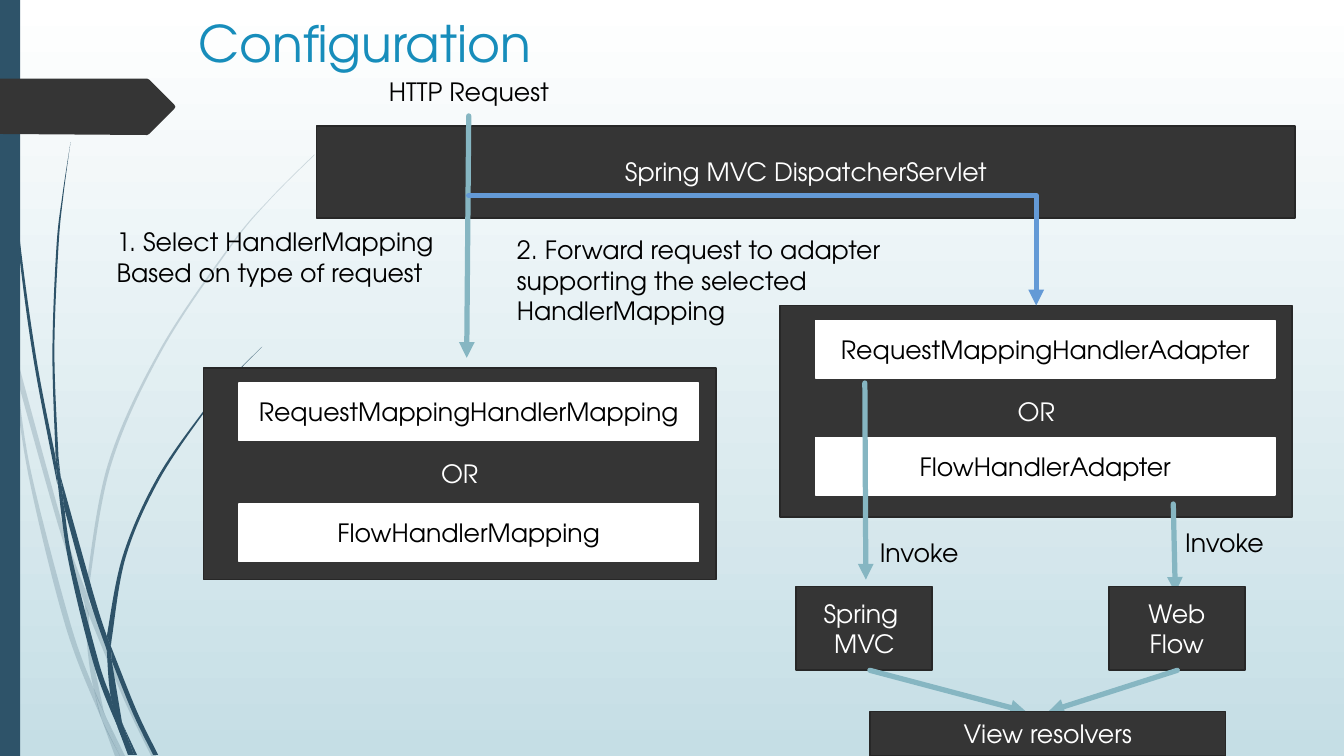
from dataclasses import dataclass

from lxml import etree
from pptx import Presentation
from pptx.dml.color import RGBColor
from pptx.enum.shapes import MSO_CONNECTOR, MSO_SHAPE
from pptx.enum.text import MSO_ANCHOR, PP_ALIGN
from pptx.oxml.ns import qn
from pptx.util import Inches, Pt

RECTANGLE = MSO_SHAPE.RECTANGLE
STRAIGHT, ELBOW = MSO_CONNECTOR.STRAIGHT, MSO_CONNECTOR.ELBOW
TOP, MIDDLE = MSO_ANCHOR.TOP, MSO_ANCHOR.MIDDLE
LEFT, CENTER = PP_ALIGN.LEFT, PP_ALIGN.CENTER
Point = tuple[float, float]
Edge = tuple[Point, ...]


@dataclass(frozen=True)
class Theme:
    font: str = "TeX Gyre Adventor"
    title_size: float = 36
    body_size: float = 18
    box_line: float = 1.25
    arrow_line: float = 3.75
    white: str = "FFFFFF"
    black: str = "000000"
    sky: str = "C5DEE5"
    title: str = "178DBB"
    navy: str = "2E5369"
    dark: str = "353535"
    dark_edge: str = "272727"
    teal: str = "86B6C2"
    blue: str = "649AD6"


THEME = Theme()


@dataclass(frozen=True)
class Box:
    text: str
    place: tuple[float, float, float, float]
    fill: str = THEME.dark
    line: str = THEME.dark_edge
    color: str = THEME.white


@dataclass(frozen=True)
class Label:
    text: str
    place: tuple[float, float, float, float]
    wrap: bool = True
    size: float = THEME.body_size
    color: str = THEME.black


@dataclass(frozen=True)
class Arrow:
    start: Point
    end: Point
    color: str = THEME.teal
    bent: bool = False


def choice_panel(left: float, top: float, first: str, second: str, second_top: float) -> tuple[Box, ...]:
    """A dark panel offering two white options."""
    options = [Box(text, (left + 0.35, y, 4.56, 0.57), THEME.white, THEME.white, THEME.black)
               for text, y in ((first, top + 0.15), (second, second_top))]
    return Box("OR", (left, top, 5.08, 2.1)), *options


# Grass blades: each piece is a closed ring of smooth edges
PALE_BLADES: tuple[tuple[Edge, ...], ...] = (
    (((0, 2.99), (0.1, 3.44), (0.11, 3.5)), ((0.09, 3.22), (0, 2.82))),
    (((0.17, 3.76), (0.58, 5.22), (0.84, 5.99)), ((0.85, 5.86), (0.62, 5.2), (0.14, 3.45))),
    (((0.88, 6.1), (1.23, 6.94), (1.5, 7.5)), ((1.55, 7.5), (1.27, 6.92), (0.88, 5.96))),
    (((1.05, 7.11), (1.19, 7.5)), ((1.24, 7.5),)),
    (((0.11, 3.5), (0.28, 4.7), (0.65, 6.21), (1.01, 7.14)),
     ((0.93, 6.83), (0.7, 6.19), (0.31, 4.69), (0.17, 3.76))),
    (((0.84, 5.99), (0.87, 6.46), (0.93, 6.83), (1.05, 7.11)), ((1.03, 7.06), (0.91, 6.46), (0.88, 6.08))),
    (((3.12, 1.53), (2.68, 1.97), (2.28, 2.44), (1.58, 3.48), (1.07, 4.61), (0.85, 5.84)), ((0.88, 5.96),),
     ((0.88, 5.84), (1.1, 4.62), (1.6, 3.49), (2.29, 2.45), (2.68, 1.98), (3.12, 1.54))),
    (((1.01, 7.14), (1.14, 7.5)), ((1.19, 7.5),)),
    (((0.84, 5.99), (0.88, 6.1)), ((0.88, 5.96), (0.85, 5.86))),
    (((0.93, 6.83), (1.01, 7.14), (1.19, 7.5)), ((1.05, 7.11),)),
)
DARK_BLADES: tuple[tuple[Edge, ...], ...] = (
    (((0.03, 0), (0.07, 1.1), (0.17, 2.33), (0.33, 3.55), (0.57, 4.81)),
     ((0.55, 4.53), (0.36, 3.55), (0.19, 2.32), (0.08, 1.09), (0.04, 0))),
    (((0.64, 5.05), (0.88, 5.92), (1.06, 6.45)), ((1.06, 6.31), (0.93, 5.9), (0.6, 4.72))),
    (((1.11, 6.56), (1.32, 7.08), (1.52, 7.49)), ((1.57, 7.49), (1.36, 7.06), (1.1, 6.41))),
    (((0.57, 4.77), (0.68, 5.57), (0.93, 6.59), (1.17, 7.22)),
     ((1.1, 6.91), (0.98, 6.57), (0.72, 5.56), (0.64, 5.05))),
    (((0.7, 1.41), (0.62, 1.93), (0.56, 2.45), (0.52, 3.49), (0.55, 4.49)), ((0.6, 4.72),),
     ((0.58, 4.53), (0.54, 3.49), (0.58, 2.45), (0.63, 1.93), (0.7, 1.41))),
    (((1.22, 7.19), (1.33, 7.49)), ((1.36, 7.49),)),
    (((0.55, 4.49), (0.57, 4.77), (0.64, 5.05)), ((0.6, 4.72),)),
    (((2.6, 3.44), (2.31, 3.73), (2.04, 4.05), (1.56, 4.74), (1.22, 5.51), (1.06, 6.31)), ((1.1, 6.41),),
     ((1.11, 6.33), (1.25, 5.52), (1.58, 4.76), (2.05, 4.06), (2.31, 3.74), (2.6, 3.44))),
    (((1.17, 7.22), (1.27, 7.49)), ((1.31, 7.49),)),
    (((1.06, 6.45), (1.1, 6.91), (1.22, 7.19)), ((1.21, 7.16), (1.11, 6.56))),
    (((1.06, 6.31), (1.06, 6.45), (1.11, 6.56)), ((1.1, 6.41),)),
    (((1.1, 6.91), (1.17, 7.22), (1.3, 7.49)), ((1.33, 7.49), (1.22, 7.19))),
)
TAG: tuple[Edge, ...] = tuple((corner,) for corner in (
    (0, 0.78), (1.46, 0.78), (1.48, 0.79), (1.73, 1.04), (1.74, 1.06),
    (1.73, 1.08), (1.48, 1.33), (1.46, 1.34), (0, 1.33)))

# Diagram parts from back to front
DIAGRAM = (
    Box("Spring MVC DispatcherServlet", (3.14, 1.25, 9.71, 0.91)),
    Arrow((4.65, 1.15), (4.63, 3.55)),
    Label("HTTP Request", (3.76, 0.71, 2.06, 0.41)),
    Label("1. Select HandlerMapping Based on type of request", (1.06, 2.2, 3.57, 0.71)),
    *choice_panel(2.02, 3.65, "RequestMappingHandlerMapping", "FlowHandlerMapping", 5),
    *choice_panel(7.74, 3.03, "RequestMappingHandlerAdapter", "FlowHandlerAdapter", 4.34),
    Arrow((4.65, 1.94), (10.28, 3.03), THEME.blue, bent=True),
    Label("2. Forward request to adapter supporting the selected HandlerMapping", (5.03, 2.28, 4.91, 1.01)),
    Arrow((8.58, 3.8), (8.59, 5.75)),
    Box("Spring \nMVC", (7.9, 5.82, 1.35, 0.83)),
    Arrow((11.64, 5), (11.66, 5.88)),
    Box("Web Flow", (11, 5.82, 1.35, 0.83)),
    Label("Invoke", (8.63, 5.28, 1.01, 0.4), wrap=False),
    Label("Invoke", (11.66, 5.18, 1.01, 0.4), wrap=False),
    Label("Configuration", (1.87, 0.07, 4.68, 0.8), size=THEME.title_size, color=THEME.title),
    Arrow((8.63, 6.65), (10.18, 7.06)),
    Arrow((11.68, 6.65), (10.4, 7.06)),
    Box("View resolvers", (8.63, 7.06, 3.53, 0.44)),
)


def rgb(color: str) -> RGBColor:
    return RGBColor.from_string(color)


def paint(shape, color: str) -> None:
    shape.shadow.inherit = False
    shape.fill.solid()
    shape.fill.fore_color.rgb = rgb(color)
    shape.line.fill.background()


def write_text(shape, text: str, *, size: float, color: str, align=LEFT, anchor=TOP, wrap: bool = True) -> None:
    frame = shape.text_frame
    frame.word_wrap, frame.vertical_anchor, frame.text = wrap, anchor, text
    for para in frame.paragraphs:
        para.alignment = align
        for span in para.runs:
            span.font.name, span.font.size = THEME.font, Pt(size)
            span.font.color.rgb = rgb(color)


def draw_box(page, box: Box) -> None:
    shape = page.shapes.add_shape(RECTANGLE, *map(Inches, box.place))
    paint(shape, box.fill)
    if box.line:
        shape.line.color.rgb = rgb(box.line)
        shape.line.width = Pt(THEME.box_line)
    if box.text:
        write_text(shape, box.text, size=THEME.body_size, color=box.color, align=CENTER, anchor=MIDDLE)


def draw_label(page, label: Label) -> None:
    shape = page.shapes.add_textbox(*map(Inches, label.place))
    write_text(shape, label.text, size=label.size, color=label.color, wrap=label.wrap)


def draw_arrow(page, arrow: Arrow) -> None:
    connector = page.shapes.add_connector(ELBOW if arrow.bent else STRAIGHT, *map(Inches, arrow.start + arrow.end))
    connector.line.color.rgb = rgb(arrow.color)
    connector.line.width = Pt(THEME.arrow_line)
    properties = connector._element.spPr
    if arrow.bent:  # a single corner: across, then down
        properties.find(qn("a:prstGeom")).set("prst", "bentConnector2")
    line = properties.find(qn("a:ln"))
    line.set("cap", "rnd")
    etree.SubElement(line, qn("a:tailEnd"), type="triangle")
    etree.SubElement(properties, qn("a:effectLst"))


def draw_outline(page, edges: tuple[Edge, ...], color: str, alpha: int = 100) -> None:
    """Closed ring: a Catmull-Rom curve along each edge, straight joins between."""
    corners = [(Inches(x), Inches(y)) for edge in edges for x, y in edge]
    builder = page.shapes.build_freeform(*corners[0])
    builder.add_line_segments(corners[1:], close=True)
    shape = builder.convert_to_shape()
    paint(shape, color)
    segments = list(shape._element.spPr.iter(qn("a:lnTo")))
    first = 0
    for edge in edges:
        last = first + len(edge) - 1
        for i in range(first, last):
            a, b, c, d = (corners[max(first, min(last, k))] for k in range(i - 1, i + 3))
            handles = ([q + (r - p) / 6 for p, q, r in zip(a, b, c)],
                       [r - (s - q) / 6 for q, r, s in zip(b, c, d)], c)
            curve = etree.Element(qn("a:cubicBezTo"))
            for x, y in handles:
                etree.SubElement(curve, qn("a:pt"), x=str(round(x - shape.left)), y=str(round(y - shape.top)))
            segments[i].getparent().replace(segments[i], curve)
        first = last + 1
    if alpha < 100:
        tint = shape._element.spPr.find(qn("a:solidFill"))[0]
        etree.SubElement(tint, qn("a:alpha"), val=str(alpha * 1000))


def main() -> None:
    deck = Presentation()
    deck.slide_width, deck.slide_height = Inches(40 / 3), Inches(7.5)
    page = deck.slides.add_slide(deck.slide_layouts[6])
    # Backdrop
    backdrop = page.background.fill
    backdrop.gradient()
    backdrop.gradient_angle = 270
    for stop, color in zip(backdrop.gradient_stops, (THEME.white, THEME.sky)):
        stop.color.rgb = rgb(color)
    for blades, alpha in ((PALE_BLADES, 20), (DARK_BLADES, 100)):
        for blade in blades:
            draw_outline(page, blade, THEME.navy, alpha)
    draw_box(page, Box("", (0, 0, 0.2, 7.5), THEME.navy, line=""))
    draw_outline(page, TAG, THEME.dark)
    # Diagram
    painters = {Box: draw_box, Label: draw_label, Arrow: draw_arrow}
    for part in DIAGRAM:
        painters[type(part)](page, part)
    deck.save("out.pptx")


if __name__ == "__main__":
    main()
